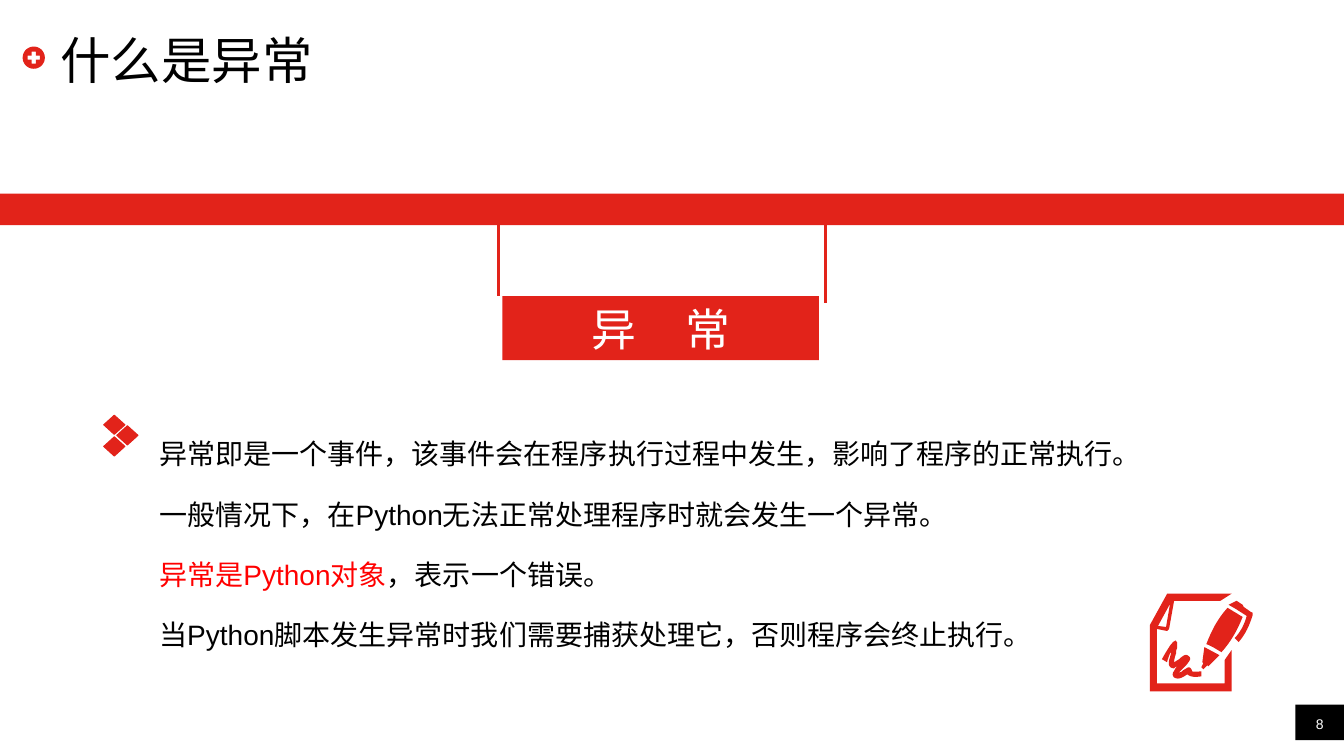
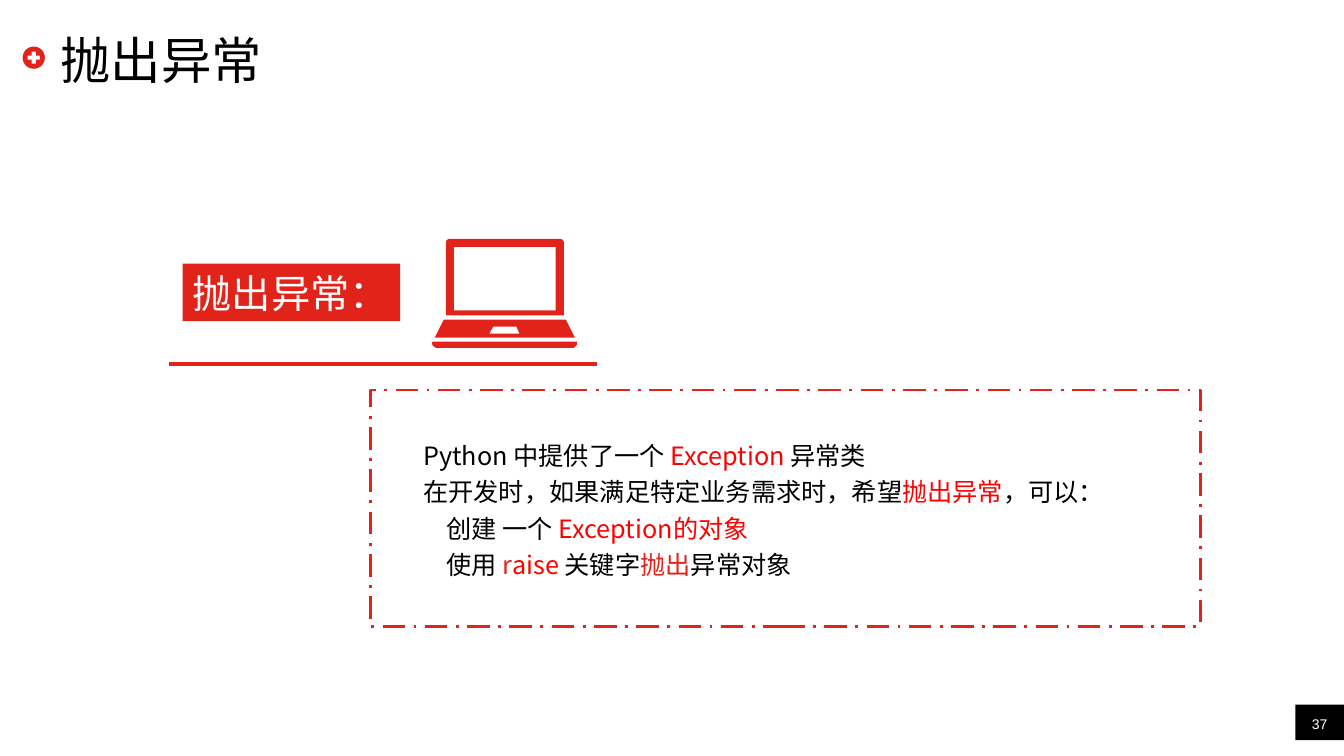
import math

import pptx
import pptx.dml.color
import pptx.enum.dml
import pptx.enum.shapes
import pptx.enum.text
import pptx.oxml
import pptx.oxml.ns
import pptx.util

# Shared look: a grid of 160 columns by 90 rows, colours and fonts
SLIDE_WIDTH = pptx.util.Inches(13.33)
SLIDE_HEIGHT = pptx.util.Inches(7.5)
CELL = SLIDE_WIDTH / 160
ICON_UNIT = CELL * 0.12
RED, BRIGHT_RED, BLACK, WHITE = "E2231A", "FF0000", "000000", "FFFFFF"
LATIN, CHINESE = "Arial", "Noto Sans CJK SC"

ALIGN = pptx.enum.text.PP_ALIGN
ANCHOR = pptx.enum.text.MSO_ANCHOR

# Icon outlines; a pair is a corner, six numbers are a Bézier curve
PEN_AND_PAGE = [
    # page
    [(19, 0), (81, 0), (70, 7), (24, 7), (19, 35), (17, 37), (7, 35), (7, 89),
     (74, 89), (74, 66), (81, 56), (81, 97), (0, 97), (0, 31), (16, 2), (17, 0)],
    # folded corner
    [(20, 10), (8, 32), (16, 33)],
    # signature
    [(12, 65), (17, 68), (17, 67, 21, 55, 21, 59), (20, 63, 18, 68, 19, 71),
     (20, 73, 21, 74, 24, 74), (25, 73, 26, 72, 27, 72), (25, 74, 24, 77, 23, 78),
     (22, 81, 23, 83, 26, 84), (30, 85, 34, 82, 37, 80), (41, 84, 51, 82, 51, 82),
     (51, 77), (51, 77, 42, 78, 42, 77), (41, 74, 40, 73, 38, 73),
     (36, 74, 35, 75, 33, 76), (32, 77, 31, 78, 29, 78), (30, 77, 32, 75, 34, 73),
     (37, 70, 39, 67, 40, 65), (40, 63, 39, 62, 37, 61), (35, 60, 32, 62, 29, 65),
     (27, 66, 26, 67, 24, 68), (24, 65, 25, 62, 26, 59), (26, 57, 26, 56, 27, 54),
     (29, 32, 12, 65, 12, 65)],
    # nib
    [(54, 53), (52, 68), (53, 69), (51, 73), (53, 75), (57, 71), (58, 72), (69, 61)],
    # clip
    [(93, 13), (92, 11), (86, 7), (78, 11), (85, 15), (96, 22),
     (94, 30, 90, 38, 84, 44), (88, 48), (95, 40, 99, 31, 102, 21), (102, 19), (100, 18)],
    # barrel
    [(77, 14), (67, 25, 61, 37, 56, 50), (61, 52, 66, 55, 71, 58),
     (80, 48, 87, 36, 92, 23), (87, 20, 82, 17, 77, 14)],
]
LAPTOP = [
    # keyboard and trackpad
    [(133, 80), (12, 80), (3, 98), (142, 98)],
    [(57, 94), (61, 87), (84, 87), (87, 94)],
    # lid and screen
    [(14, 76), (14, 3), (15, 1), (17, 0), (128, 0), (130, 1), (131, 3), (131, 76)],
    [(123, 71), (22, 71), (22, 8), (123, 8)],
    # foot
    [(144, 102), (1, 102), (0, 103), (1, 106), (4, 108), (141, 108), (144, 105)],
]
DIAMONDS = [[(x, y - 9.5), (x + 10.5, y), (x, y + 9.5), (x - 10.5, y)]
            for x, y in ((10.5, 9.5), (23.5, 20), (10.5, 31))]
PLUS_BADGE = [
    [(11 + 11 * math.cos(math.radians(a)), 11 + 11 * math.sin(math.radians(a)))
     for a in range(0, 360, 6)],
    [(11 + x, 11 + y) for x, y in (
        (-2, -6), (2, -6), (2, -2), (6, -2), (6, 2), (2, 2),
        (2, 6), (-2, 6), (-2, 2), (-6, 2), (-6, -2), (-2, -2))],
]


def color(value):
    return pptx.dml.color.RGBColor.from_string(value)


def grid(*cells):
    return [round(cell * CELL) for cell in cells]


def format_run(run, size, ink, latin=CHINESE):
    run.font.size = pptx.util.Pt(size)
    run.font.name = latin
    run.font.color.rgb = color(ink)
    east_asian = pptx.oxml.parse_xml(
        f'<a:ea {pptx.oxml.ns.nsdecls("a")} typeface="{CHINESE}"/>')
    run.font._element.append(east_asian)


def set_frame(frame, anchor, insets=(0, 0, 0, 0)):
    frame.word_wrap = True
    frame.auto_size = pptx.enum.text.MSO_AUTO_SIZE.NONE
    frame.vertical_anchor = anchor
    (frame.margin_left, frame.margin_top,
     frame.margin_right, frame.margin_bottom) = grid(*insets)


def add_panel(slide, cells, fill=None):
    panel = slide.shapes.add_shape(
        pptx.enum.shapes.MSO_SHAPE.RECTANGLE, *grid(*cells))
    panel.shadow.inherit = False
    panel.line.fill.background()
    if fill:
        panel.fill.solid()
        panel.fill.fore_color.rgb = color(fill)
    else:
        panel.fill.background()
    return panel


def add_label(slide, cells, fill, text, size, latin=CHINESE, align=ALIGN.CENTER,
              anchor=ANCHOR.MIDDLE, insets=(1.2, 0, 1.2, 0)):
    label = add_panel(slide, cells, fill)
    set_frame(label.text_frame, anchor, insets)
    paragraph = label.text_frame.paragraphs[0]
    paragraph.text = text
    paragraph.alignment = align
    format_run(paragraph.runs[0], size, WHITE, latin)
    return label


def add_rule(slide, start, end, weight):
    rule = slide.shapes.add_connector(
        pptx.enum.shapes.MSO_CONNECTOR.STRAIGHT, *grid(*start, *end))
    rule.line.color.rgb = color(RED)
    rule.line.width = pptx.util.Pt(weight)
    rule._element.spPr.append(
        pptx.oxml.parse_xml(f'<a:effectLst {pptx.oxml.ns.nsdecls("a")}/>'))


def trace(outline, steps=8):
    """Turn corners and curves into points, in tenths of an icon unit."""
    points = []
    for part in outline:
        if len(part) == 2:
            points.append(part)
            continue
        nodes = [points[-1], part[:2], part[2:4], part[4:]]
        for step in range(1, steps + 1):
            t = step / steps
            weights = ((1 - t) ** 3, 3 * t * (1 - t) ** 2, 3 * t * t * (1 - t), t ** 3)
            points.append(tuple(sum(w * node[axis] for w, node in zip(weights, nodes))
                                for axis in (0, 1)))
    return [(x * 10, y * 10) for x, y in points]


def add_icon(slide, column, row, outlines, outline_weight=None):
    contours = [trace(outline) for outline in outlines]
    builder = slide.shapes.build_freeform(*contours[0][0], scale=ICON_UNIT / 10)
    for index, points in enumerate(contours):
        if index:
            builder.move_to(*points[0])
        builder.add_line_segments(points[1:], close=True)
    icon = builder.convert_to_shape(*grid(column, row))
    icon.shadow.inherit = False
    icon.fill.solid()
    icon.fill.fore_color.rgb = color(RED)
    if outline_weight:
        icon.line.color.rgb = color(RED)
        icon.line.width = pptx.util.Pt(outline_weight)
    else:
        icon.line.fill.background()


def place(placeholder, cells):
    (placeholder.left, placeholder.top,
     placeholder.width, placeholder.height) = grid(*cells)


def add_page(deck, title, number, title_font):
    """Add a slide with the shared title, badge and page number."""
    slide = deck.slides.add_slide(deck.slide_layouts[1])
    heading = slide.shapes.title
    place(heading, (7.2, 3.6, 145.3, 6.84))
    set_frame(heading.text_frame, ANCHOR.MIDDLE)
    heading.text_frame.text = title
    paragraph = heading.text_frame.paragraphs[0]
    paragraph.alignment = ALIGN.LEFT
    format_run(paragraph.runs[0], 36, BLACK, title_font)
    add_icon(slide, 2.7, 5.55, PLUS_BADGE)
    add_label(slide, (154.2, 83.9, 5.8, 4.25), BLACK, number, 10, LATIN,
              anchor=ANCHOR.BOTTOM, insets=(0, 0, 0, 1))
    return slide


def fill_body(slide, cells, lines, size, latin, pitch, align):
    """Each line is an indent in cells and its (text, colour) runs."""
    body = slide.placeholders[1]
    place(body, cells)
    set_frame(body.text_frame, ANCHOR.TOP, (1.2, 0.6, 1.2, 0.6))
    for index, (indent, parts) in enumerate(lines):
        frame = body.text_frame
        paragraph = frame.add_paragraph() if index else frame.paragraphs[0]
        properties = paragraph._p.get_or_add_pPr()
        properties.set("marL", str(grid(indent)[0]))
        properties.set("indent", "0")
        properties.append(
            pptx.oxml.parse_xml(f'<a:buNone {pptx.oxml.ns.nsdecls("a")}/>'))
        paragraph.alignment = align
        paragraph.space_before = pptx.util.Pt(0)
        paragraph.line_spacing = pptx.util.Pt(pitch)
        for text, ink in parts:
            run = paragraph.add_run()
            run.text = text
            format_run(run, size, ink, latin)


def build_definition(deck):
    slide = add_page(deck, "什么是异常", "8", LATIN)
    fill_body(slide, (17.75, 48.25, 131.4, 29), [
        (0, [("异常即是一个事件，该事件会在程序执行过程中发生，影响了程序的正常执行。", BLACK)]),
        (0, [("一般情况下，在Python无法正常处理程序时就会发生一个异常。", BLACK)]),
        (0, [("异常是Python对象", BRIGHT_RED), ("，表示一个错误。", BLACK)]),
        (0, [("当Python脚本发生异常时我们需要捕获处理它，否则程序会终止执行。", BLACK)]),
    ], 20, LATIN, 43, ALIGN.JUSTIFY)
    add_icon(slide, 12.35, 49.45, DIAMONDS, 0.75)

    # Sign hanging from the red bar
    add_panel(slide, (0, 23.05, 160, 3.75), RED)
    sign = add_label(slide, (59.8, 35.25, 37.7, 7.65), RED, "异", 32, LATIN)
    wording = sign.text_frame.paragraphs[0]
    for text in (" ", "常"):
        run = wording.add_run()
        run.text = text
        format_run(run, 32, WHITE, LATIN)
    wording.runs[1].font._element.set("spc", "2800")
    for column, bottom in ((59.3, 35.3), (98.3, 36.1)):
        add_rule(slide, (column, 26.8), (column, bottom), 2)
    add_icon(slide, 136.9, 70.7, PEN_AND_PAGE)


def build_raising(deck):
    slide = add_page(deck, "抛出异常", "37", CHINESE)
    add_label(slide, (21.75, 31.4, 25.9, 6.85), RED, "抛出异常：", 28, align=ALIGN.LEFT)
    add_icon(slide, 51.4, 28.45, LAPTOP)
    add_rule(slide, (20.15, 43.35), (71.05, 43.35), 2.25)
    fill_body(slide, (49.2, 51.1, 89.5, 18.6), [
        (0, [("Python 中提供了一个 ", BLACK), ("Exception ", BRIGHT_RED), ("异常类", BLACK)]),
        (0, [("在开发时，如果满足特定业务需求时，希望", BLACK),
             ("抛出异常", BRIGHT_RED), ("，可以：", BLACK)]),
        (2.75, [("创建 一个 ", BLACK), ("Exception的对象", BRIGHT_RED)]),
        (2.75, [("使用 ", BLACK), ("r", RED), ("aise ", BRIGHT_RED), ("关键字", BLACK),
                ("抛出", RED), ("异常对象", BLACK)]),
    ], 18, CHINESE, 26, ALIGN.LEFT)

    # Dashed frame around the explanation
    border = add_panel(slide, (44.15, 46.45, 98.75, 28.2))
    border.line.color.rgb = color(RED)
    border.line.width = pptx.util.Pt(2)
    border.line.dash_style = pptx.enum.dml.MSO_LINE.LONG_DASH_DOT


def main():
    deck = pptx.Presentation()
    deck.slide_width, deck.slide_height = SLIDE_WIDTH, SLIDE_HEIGHT
    build_definition(deck)
    build_raising(deck)
    deck.save("out.pptx")


if __name__ == "__main__":
    main()
